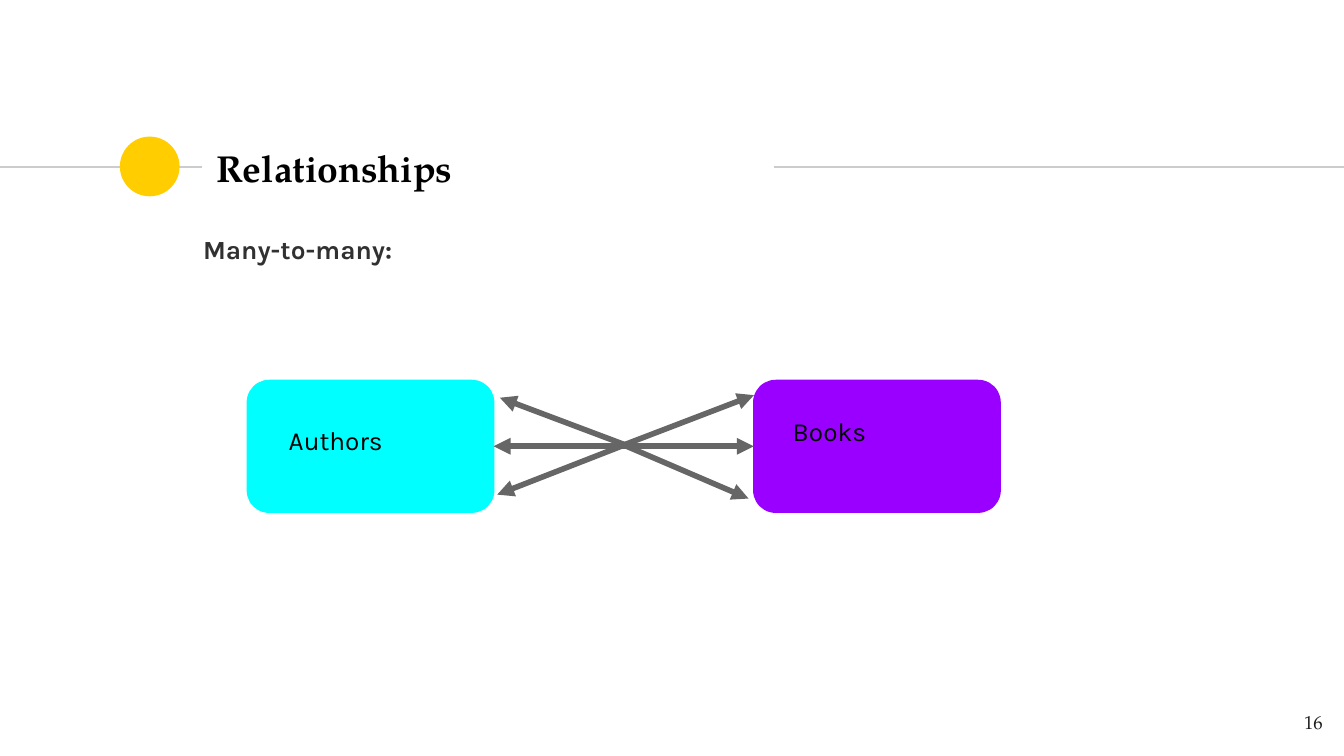
"""Build the slide on the many-to-many relationship of authors and books."""
from lxml.etree import SubElement
from pptx import Presentation
from pptx.dml.color import RGBColor
from pptx.enum.shapes import MSO_CONNECTOR as Connector, MSO_SHAPE as Shape
from pptx.enum.text import MSO_ANCHOR as Anchor, MSO_AUTO_SIZE as AutoSize, PP_ALIGN as Align
from pptx.oxml.ns import qn
from pptx.util import Pt

SERIF, SANS = "TeX Gyre Pagella", "Karla"
GREY, ARROW_GREY, YELLOW = "CCCCCC", "666666", "FFCD00"
RULE_Y, DOT_SIZE = 89.5, 32
TOP, WIDTH, HEIGHT = 203.8, 132, 70.6
MIDDLE = TOP + HEIGHT / 2
ENTITIES = [
    ("Authors", 132.5, "00FFFF", (147.6, 220.3, 101, 34.6)),
    ("Books", 403.8, "9900FF", (417.6, 215.3, 112, 44)),
]
JOINED_ARROWS = [((331.2, MIDDLE), "Books", 1), ((331.2, MIDDLE), "Authors", 3)]
FREE_ARROWS = [
    ((332.6, 239), (403.9, 211.7)),
    ((335.5, 239), (401, 267.1)),
    ((334.8, 238.3), (266.4, 265)),
    ((334.8, 238.3), (267.8, 213.1)),
]


def color(value):
    return RGBColor.from_string(value)


def write(shape, text, *, font=SANS, size=14, fill="000000", bold=False,
          align=Align.LEFT, anchor=Anchor.TOP):
    frame = shape.text_frame
    frame.word_wrap = True
    frame.auto_size = AutoSize.NONE
    frame.vertical_anchor = anchor
    frame.margin_left = frame.margin_right = Pt(7.2)
    frame.margin_top = frame.margin_bottom = Pt(7.2)
    paragraph = frame.paragraphs[0]
    paragraph.alignment = align
    run = paragraph.add_run()
    run.text = text
    run.font.name, run.font.size, run.font.bold = font, Pt(size), bold
    run.font.color.rgb = color(fill)


def add_text(slide, box, text, **style):
    write(slide.shapes.add_textbox(*map(Pt, box)), text, **style)


def add_block(slide, kind, box, fill):
    shape = slide.shapes.add_shape(kind, *map(Pt, box))
    shape.shadow.inherit = False
    shape.fill.solid()
    shape.fill.fore_color.rgb = color(fill)
    shape.line.color.rgb = color(fill)
    shape.line.width = Pt(0.75)
    return shape


def add_line(slide, start, end, stroke, width, arrow=False):
    line = slide.shapes.add_connector(Connector.STRAIGHT, *map(Pt, (*start, *end)))
    line.line.color.rgb = color(stroke)
    line.line.width = Pt(width)
    if arrow:
        SubElement(line.line._get_or_add_ln(), qn("a:tailEnd"), type="triangle")
    SubElement(line._element.spPr, qn("a:effectLst"))
    return line


def main():
    presentation = Presentation()
    presentation.slide_width, presentation.slide_height = Pt(720), Pt(405)
    slide = presentation.slides.add_slide(presentation.slide_layouts[5])

    for left, right in [(0, 108), (414.7, 720)]:
        add_line(slide, (left, RULE_Y), (right, RULE_Y), GREY, 0.75)
    dot = add_block(slide, Shape.OVAL, (64.2, RULE_Y - DOT_SIZE / 2 - 0.3, DOT_SIZE, DOT_SIZE), YELLOW)
    dot.line.fill.background()

    title = slide.shapes.title
    title.left, title.top, title.width, title.height = map(Pt, (108.7, 72.7, 305.3, 34.6))
    write(title, "Relationships", font=SERIF, size=20, bold=True, anchor=Anchor.MIDDLE)
    add_text(slide, (672.5, 373.7, 43.2, 31), "16", font=SERIF, size=10,
             fill="1D1D1B", align=Align.RIGHT)
    add_text(slide, (101.7, 118.1, 482.4, 38.2), "Many-to-many:", fill="313131",
             bold=True, align=Align.JUSTIFY)

    blocks = {}
    for name, left, fill, label_box in ENTITIES:
        blocks[name] = add_block(slide, Shape.ROUNDED_RECTANGLE, (left, TOP, WIDTH, HEIGHT), fill)
        add_text(slide, label_box, name)

    for start, name, side in JOINED_ARROWS:
        arrow = add_line(slide, start, start, ARROW_GREY, 3, arrow=True)
        arrow.end_connect(blocks[name], side)
    for start, end in FREE_ARROWS:
        add_line(slide, start, end, ARROW_GREY, 3, arrow=True)

    presentation.save("out.pptx")


if __name__ == "__main__":
    main()
